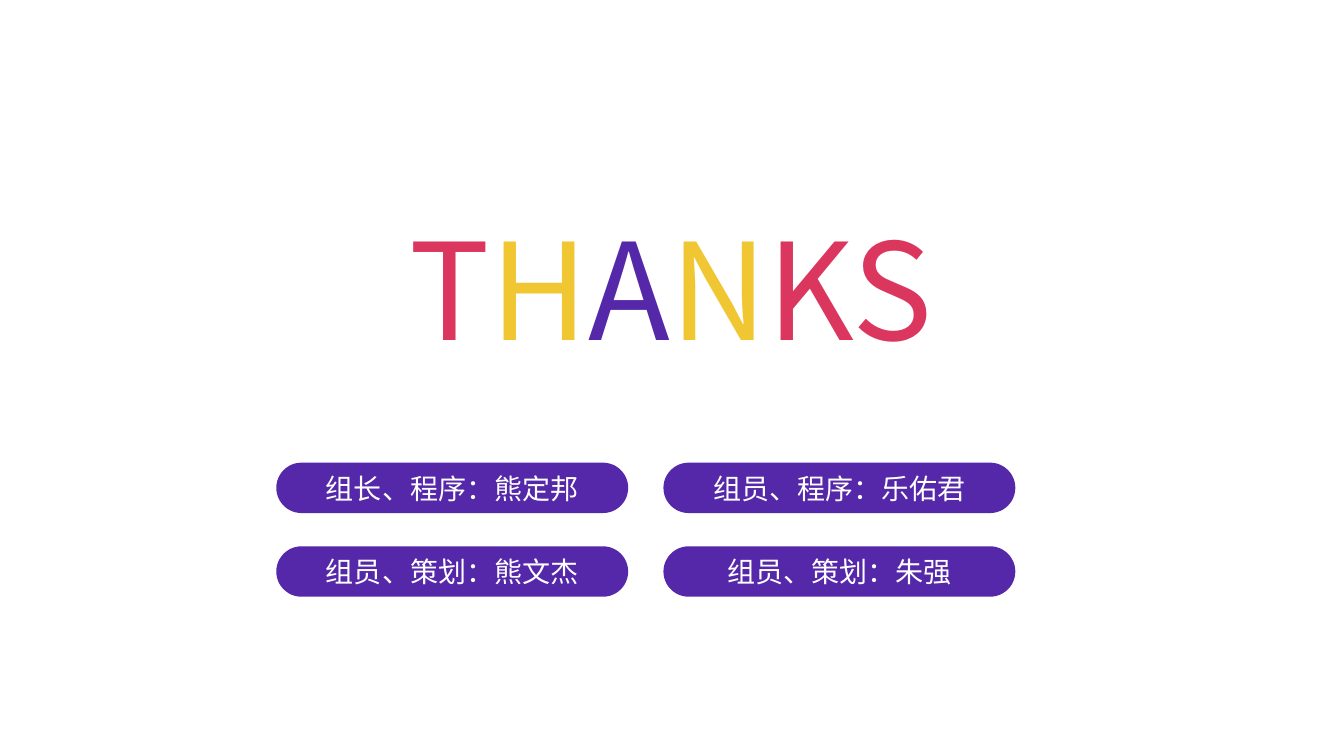
from lxml.etree import SubElement
from pptx import Presentation
from pptx.dml.color import RGBColor
from pptx.enum.shapes import MSO_SHAPE as Shape
from pptx.enum.text import MSO_ANCHOR as Anchor, MSO_AUTO_SIZE as Fit, PP_ALIGN as Align
from pptx.oxml.ns import qn
from pptx.util import Inches, Pt

RED = RGBColor(0xDB, 0x36, 0x5E)
GOLD = RGBColor(0xF0, 0xC7, 0x33)
PURPLE = RGBColor(0x55, 0x28, 0xA9)
WHITE = RGBColor(0xFF, 0xFF, 0xFF)

TITLE = {"size": Pt(96), "name": "Noto Sans CJK JP"}
LABEL = {"size": Pt(20), "name": "Noto Sans CJK SC"}


def write(para, text, color, style):
    run = para.add_run()
    run.text = text
    run.font.color.rgb = color
    for key, value in style.items():
        setattr(run.font, key, value)
    SubElement(run._r.get_or_add_rPr(), qn("a:ea"), typeface=style["name"])


deck = Presentation()
deck.slide_width = Inches(13.33)
deck.slide_height = Inches(7.5)
slide = deck.slides.add_slide(deck.slide_layouts[6])

title = slide.shapes.add_textbox(Inches(3.66), Inches(2), Inches(6), Inches(1.72))
frame = title.text_frame
frame.word_wrap = True
frame.auto_size = Fit.SHAPE_TO_FIT_TEXT
para = frame.paragraphs[0]
para.alignment = Align.CENTER
for text, color in [("T", RED), ("H", GOLD), ("A", PURPLE), ("N", GOLD), ("KS", RED)]:
    write(para, text, color, TITLE)

team = [
    ["组长、程序：熊定邦", "组员、程序：乐佑君"],
    ["组员、策划：熊文杰", "组员、策划：朱强"],
]
for row, names in enumerate(team):
    for col, text in enumerate(names):
        pill = slide.shapes.add_shape(
            Shape.ROUNDED_RECTANGLE,
            Inches(2.74 + 3.84 * col), Inches(4.59 + 0.83 * row),
            Inches(3.49), Inches(0.5),
        )
        pill.adjustments[0] = 0.5
        pill.shadow.inherit = False
        pill.fill.solid()
        pill.fill.fore_color.rgb = PURPLE
        pill.line.fill.background()
        pill.text_frame.vertical_anchor = Anchor.MIDDLE
        para = pill.text_frame.paragraphs[0]
        para.alignment = Align.CENTER
        write(para, text, WHITE, LABEL)

deck.save("out.pptx")
